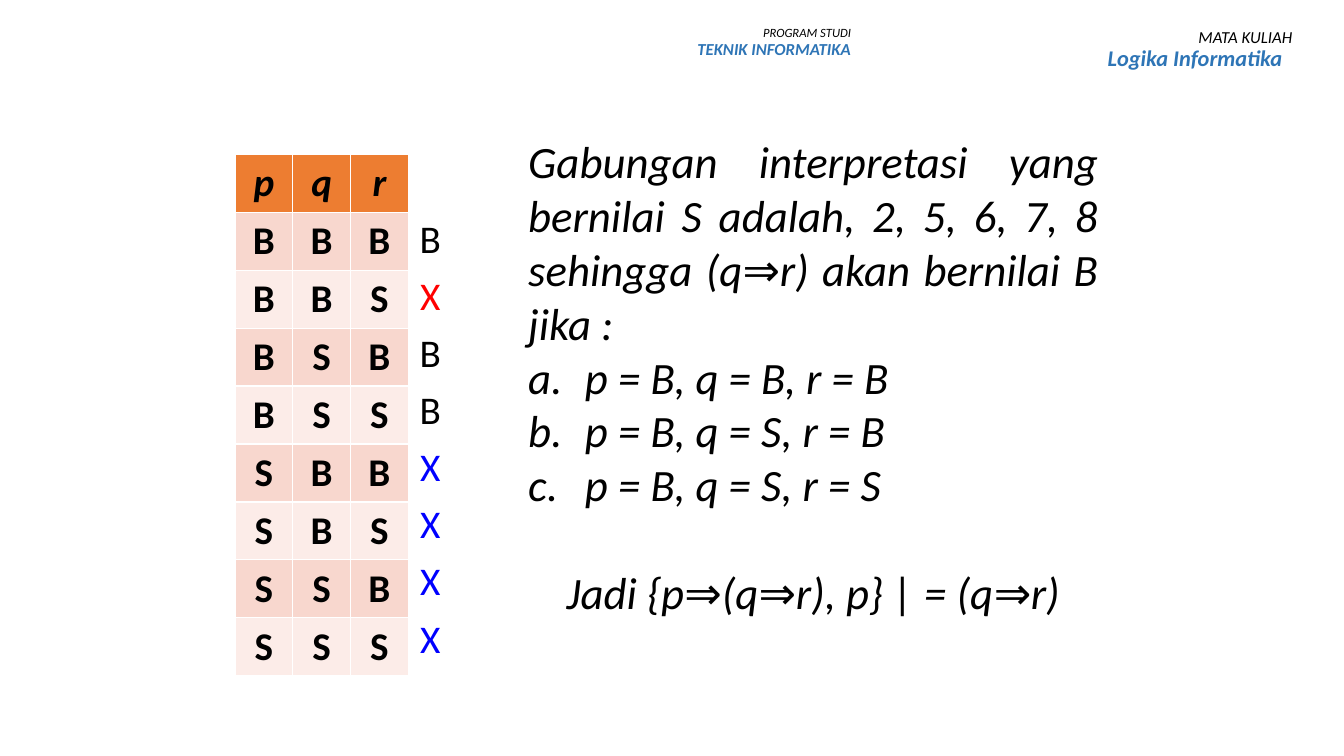
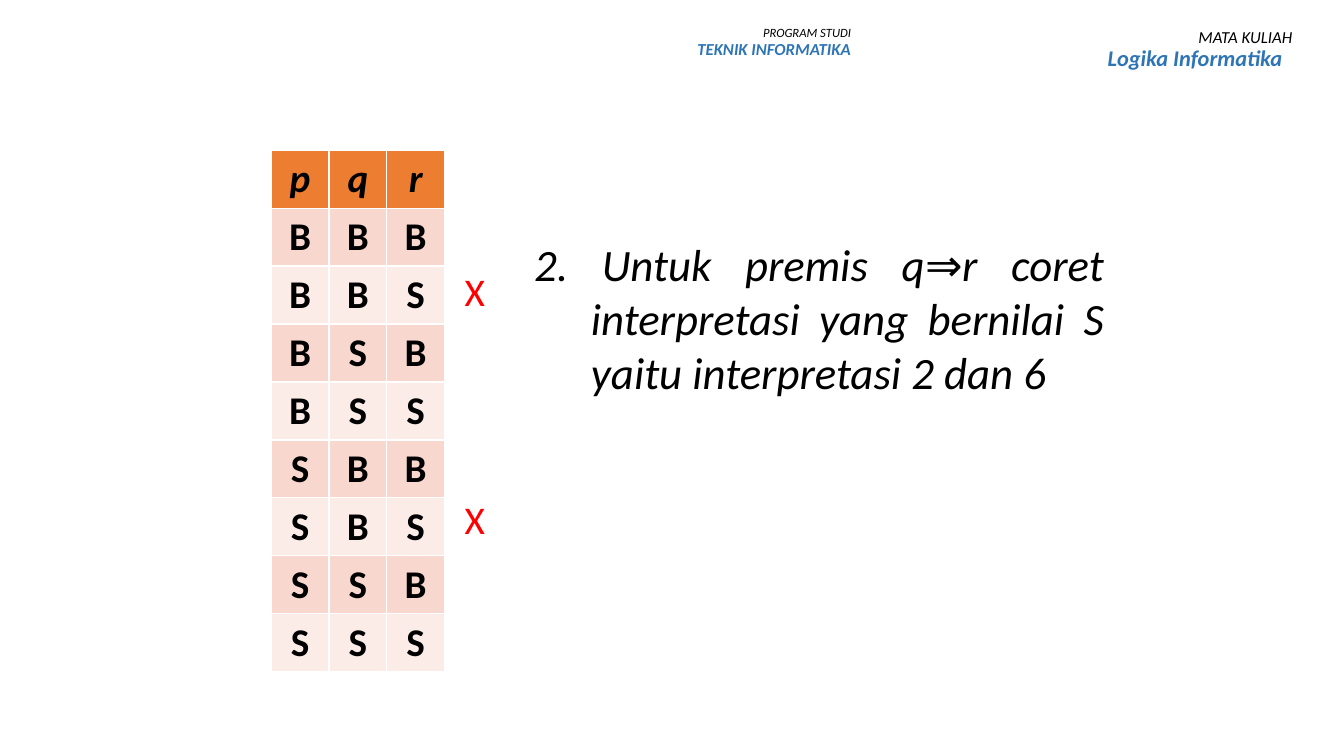
import itertools

import pptx
import pptx.dml.color
import pptx.enum.text
import pptx.util
from lxml import etree

Pt = pptx.util.Pt
RGBColor = pptx.dml.color.RGBColor
ALIGN = pptx.enum.text.PP_ALIGN
ANCHOR = pptx.enum.text.MSO_ANCHOR
AUTO_SIZE = pptx.enum.text.MSO_AUTO_SIZE

# Shared look
FONT = "Calibri"
BLACK = RGBColor(0x00, 0x00, 0x00)
RED = RGBColor(0xFF, 0x00, 0x00)
BLUE = RGBColor(0x00, 0x00, 0xFF)
HEADING_BLUE = RGBColor(0x2E, 0x75, 0xB6)
ORANGE = RGBColor(0xED, 0x7D, 0x31)
BANDS = (RGBColor(0xF8, 0xD7, 0xCE), RGBColor(0xFC, 0xEC, 0xE8))
NO_GRID_STYLE = "{2D5ABB26-0587-4C30-8999-92F81FD0307C}"
TRUTH_ROW, TRUTH_COLUMN = 41.4, 41.3
MARK_ROW, MARK_COLUMN = 40.8, 43.2
TABLE_SIZE, BODY_SIZE = 28, 32
HANG = 40.5

# Header boxes: (left, top, width, height), lines of (text, size, colour, bold, right margin)
HEADERS = [
    ((434.2, 15.8, 180.7, 40.3),
     [("PROGRAM STUDI", 9, BLACK, False, 0),
      ("TEKNIK INFORMATIKA", 12, HEADING_BLUE, True, 0)]),
    ((659.5, 17.3, 270.7, 53.3),
     [("MATA KULIAH", 12, BLACK, False, 0),
      ("Logika Informatika", 16, HEADING_BLUE, True, 7.2)]),
]

# Truth table: every interpretation of p, q, r
VARIABLES = ("p", "q", "r")
INTERPRETATIONS = list(itertools.product("BS", repeat=len(VARIABLES)))

# Marks by interpretation number; body lines as (kind, text)
SLIDES = [
    {
        "truth_at": (167.8, 110.2),
        "marks_left": 285.8,
        "marks": {1: ("B", BLACK), 2: ("X", RED), 3: ("B", BLACK), 4: ("B", BLACK),
                  **{number: ("X", BLUE) for number in range(5, 9)}},
        "body_box": (370.1, 92.2, 421.9, 356.4),
        "body": [
            ("plain", "Gabungan interpretasi yang bernilai S adalah, 2, 5, 6, 7, 8 "
                      "sehingga (q⇒r) akan bernilai B jika :"),
            ("lettered", "p = B, q = B, r = B"),
            ("lettered", "p = B, q = S, r = B"),
            ("lettered", "p = B, q = S, r = S"),
            ("conclusion", "Jadi {p⇒(q⇒r), p} | = (q⇒r)"),
        ],
    },
    {
        "truth_at": (193.7, 107.3),
        "marks_left": 317.5,
        "marks": {2: ("X", RED), 6: ("X", RED)},
        "body_box": (374.4, 165.6, 421.9, 162.7),
        "body": [
            ("hanging", "2. Untuk premis q⇒r coret interpretasi yang bernilai S "
                        "yaitu interpretasi 2 dan 6"),
        ],
    },
]

# kind: (alignment, hanging indent, numbering, space before)
BODY_STYLES = {
    "plain": (ALIGN.JUSTIFY, 0, None, 0),
    "lettered": (ALIGN.JUSTIFY, HANG, "alphaLcPeriod", 0),
    "hanging": (ALIGN.JUSTIFY, HANG, None, 0),
    "conclusion": (ALIGN.CENTER, 0, None, 39),
}


def style_runs(paragraph, size, color=BLACK, bold=False, italic=False):
    for run in paragraph.runs:
        font = run.font
        font.name, font.size = FONT, Pt(size)
        font.bold, font.italic = bold, italic
        font.color.rgb = color


def add_lines(text_frame, texts):
    """Yield one paragraph for each text, using the first existing one."""
    for index, text in enumerate(texts):
        paragraph = text_frame.add_paragraph() if index else text_frame.paragraphs[0]
        paragraph.text = text
        yield paragraph


def add_header(slide, box, lines):
    text_frame = slide.shapes.add_textbox(*map(Pt, box)).text_frame
    text_frame.word_wrap = True
    paragraphs = add_lines(text_frame, [line[0] for line in lines])
    for paragraph, (_, size, color, bold, right_margin) in zip(paragraphs, lines):
        paragraph.alignment = ALIGN.RIGHT
        paragraph.line_spacing = 0.9
        if right_margin:
            paragraph._p.get_or_add_pPr().set("marR", str(Pt(right_margin)))
        style_runs(paragraph, size, color, bold, italic=True)


def add_grid(slide, left, top, columns, column_width, row_height):
    rows = len(INTERPRETATIONS) + 1
    grid = slide.shapes.add_table(rows, columns, Pt(left), Pt(top),
                                  Pt(columns * column_width), Pt(rows * row_height)).table
    for column in grid.columns:
        column.width = Pt(column_width)
    for row in grid.rows:
        row.height = Pt(row_height)
    return grid


def fill_cell(cell, text, color=BLACK, bold=False, italic=False):
    cell.margin_top = cell.margin_bottom = 0
    cell.vertical_anchor = ANCHOR.MIDDLE
    cell.text_frame.text = text
    paragraph = cell.text_frame.paragraphs[0]
    paragraph.alignment = ALIGN.CENTER
    style_runs(paragraph, TABLE_SIZE, color, bold, italic)


def add_truth_table(slide, left, top):
    grid = add_grid(slide, left, top, len(VARIABLES), TRUTH_COLUMN, TRUTH_ROW)
    for row, values in enumerate([VARIABLES] + INTERPRETATIONS):
        is_heading = row == 0
        for column, value in enumerate(values):
            cell = grid.cell(row, column)
            fill_cell(cell, value, bold=True, italic=is_heading)
            cell.fill.solid()
            cell.fill.fore_color.rgb = ORANGE if is_heading else BANDS[(row - 1) % 2]


def add_marks(slide, left, top, marks):
    grid = add_grid(slide, left, top, 1, MARK_COLUMN, MARK_ROW)
    grid.first_row = grid.horz_banding = False
    grid._tbl.tblPr.find(pptx.oxml.ns.qn("a:tableStyleId")).text = NO_GRID_STYLE
    for row in range(len(grid.rows)):
        cell = grid.cell(row, 0)
        cell.fill.background()
        if row in marks:
            fill_cell(cell, *marks[row])


def add_body(slide, box, lines):
    body = slide.placeholders[1]
    body.left, body.top, body.width, body.height = map(Pt, box)
    text_frame = body.text_frame
    text_frame.word_wrap = True
    text_frame.auto_size = AUTO_SIZE.NONE
    paragraphs = add_lines(text_frame, [text for _, text in lines])
    for paragraph, (kind, _) in zip(paragraphs, lines):
        alignment, indent, numbering, space_before = BODY_STYLES[kind]
        paragraph.alignment = alignment
        paragraph.space_before = Pt(space_before)
        properties = paragraph._p.get_or_add_pPr()
        properties.set("marL", str(Pt(indent)))
        properties.set("indent", str(-Pt(indent)))
        bullet = etree.SubElement(
            properties, pptx.oxml.ns.qn("a:buAutoNum" if numbering else "a:buNone"))
        if numbering:
            bullet.set("type", numbering)
        style_runs(paragraph, BODY_SIZE, italic=True)


def main():
    deck = pptx.Presentation()
    deck.slide_width, deck.slide_height = Pt(960), Pt(540)
    for content in SLIDES:
        slide = deck.slides.add_slide(deck.slide_layouts[1])
        title = slide.shapes.title.element
        title.getparent().remove(title)
        left, top = content["truth_at"]
        add_truth_table(slide, left, top)
        add_body(slide, content["body_box"], content["body"])
        add_marks(slide, content["marks_left"], top, content["marks"])
        for box, lines in HEADERS:
            add_header(slide, box, lines)
    deck.save("out.pptx")


if __name__ == "__main__":
    main()
